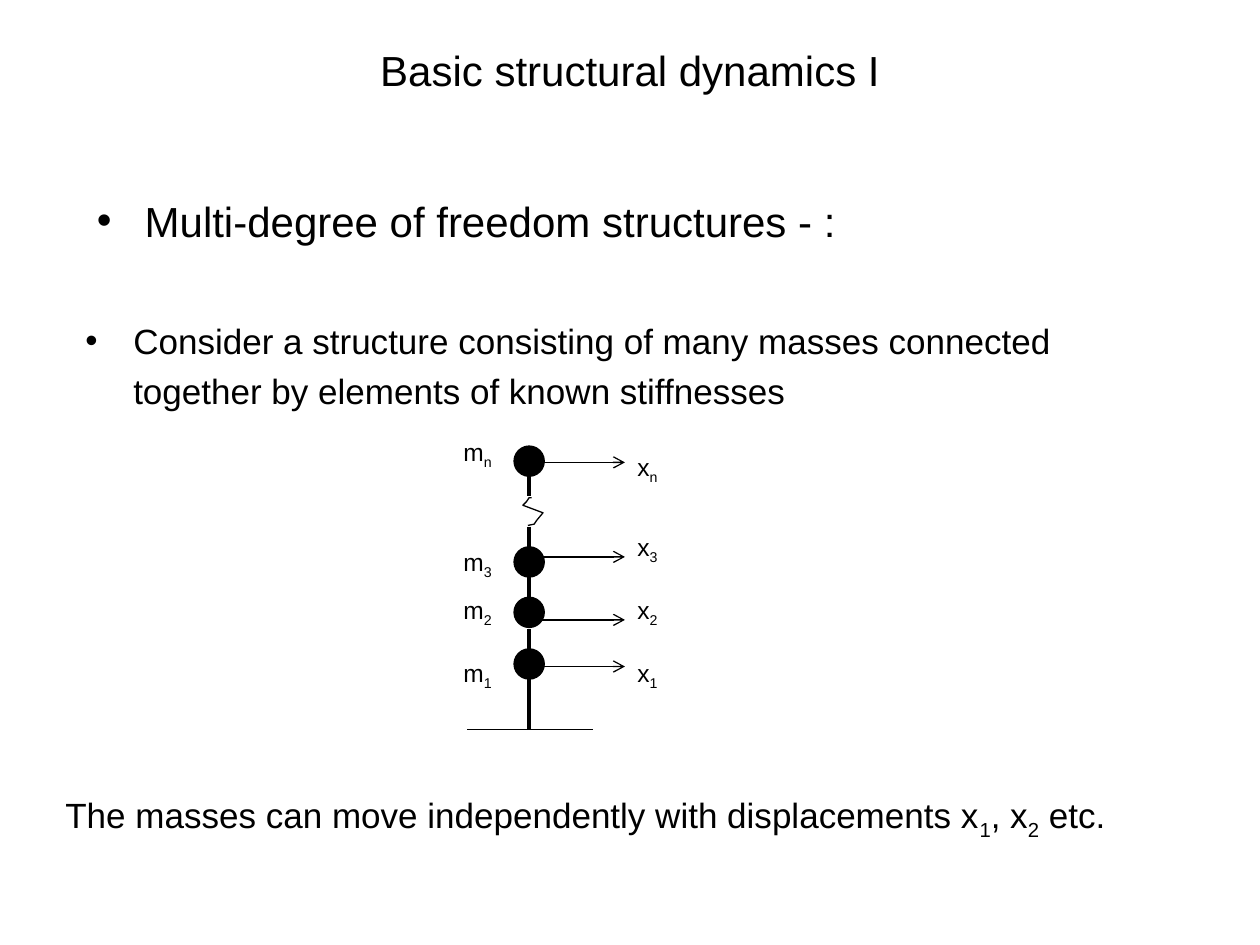
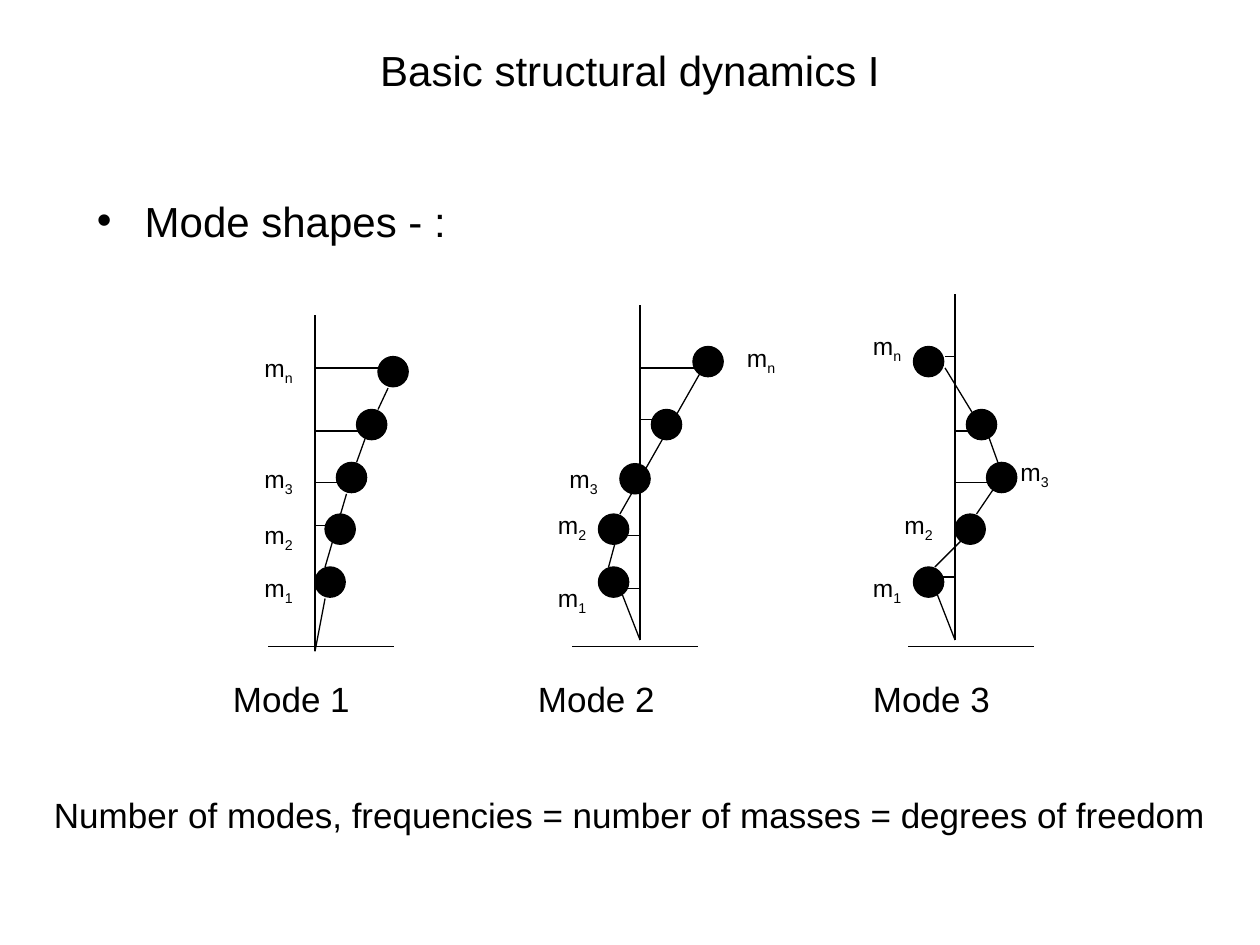
from dataclasses import dataclass
from typing import NamedTuple

from lxml.etree import SubElement
from pptx import Presentation
from pptx.dml.color import RGBColor
from pptx.enum.shapes import MSO_CONNECTOR as Connector, MSO_SHAPE as Shape
from pptx.enum.text import MSO_ANCHOR as Anchor, PP_ALIGN as Align
from pptx.oxml.ns import qn
from pptx.slide import Slide
from pptx.util import Inches, Pt


@dataclass(frozen=True)
class Theme:
    font: str = "Arial"
    ink: RGBColor = RGBColor(0, 0, 0)
    paper: RGBColor = RGBColor(255, 255, 255)
    heading: float = 24
    body: float = 20
    label: float = 14
    thin: float = 0.75
    thick: float = 2.25
    mass: float = 0.24
    indent: float = 0.38


THEME = Theme()


class Frame(NamedTuple):
    left: float
    top: float
    width: float
    height: float


class Point(NamedTuple):
    x: float
    y: float


class Span(NamedTuple):
    text: str
    lowered: bool = False


class Label(NamedTuple):
    symbol: str
    index: str
    left: float
    top: float


class Link(NamedTuple):
    start: Point
    end: Point


class Tie(NamedTuple):
    x: float
    y: float


@dataclass(frozen=True)
class Mode:
    name: str
    name_left: float
    axis: float
    axis_top: float
    axis_foot: float
    ground_left: float
    masses: list[Point]
    labels: list[Label]
    links: list[Link]
    ties: list[Tie]


MODES = [
    Mode(
        "Mode 1", 1.75, 2.5, 2.5, 5.17, 2.13,
        [Point(3, 2.83), Point(2.83, 3.25), Point(2.67, 3.67), Point(2.58, 4.08), Point(2.5, 4.5)],
        [Label("m", "n", 2, 2.75), Label("m", "3", 2, 3.63),
         Label("m", "2", 2, 4.08), Label("m", "1", 2, 4.5)],
        [Link(Point(3, 3.25), Point(3.08, 3.08)), Link(Point(2.83, 3.67), Point(2.92, 3.42)),
         Link(Point(2.58, 4.5), Point(2.75, 3.92)), Link(Point(2.5, 5.17), Point(2.58, 4.75))],
        [Tie(3.08, 2.92), Tie(2.92, 3.42), Tie(2.75, 3.83), Tie(2.67, 4.17)],
    ),
    Mode(
        "Mode 2", 4.17, 5.08, 2.42, 5.08, 4.54,
        [Point(5.5, 2.75), Point(5.17, 3.25), Point(4.92, 3.68), Point(4.75, 4.08), Point(4.75, 4.5)],
        [Label("m", "n", 5.83, 2.67), Label("m", "3", 4.42, 3.63),
         Label("m", "2", 4.33, 4), Label("m", "1", 4.33, 4.58)],
        [Link(Point(4.92, 4.08), Point(5.58, 2.92)), Link(Point(4.83, 4.5), Point(4.92, 4.17)),
         Link(Point(5.08, 5.08), Point(4.92, 4.67))],
        [Tie(5.58, 2.92), Tie(5.25, 3.33), Tie(4.83, 4.25), Tie(4.92, 4.67)],
    ),
    Mode(
        "Mode 3", 6.83, 7.58, 2.33, 5.08, 7.21,
        [Point(7.25, 2.75), Point(7.67, 3.25), Point(7.83, 3.67), Point(7.58, 4.08), Point(7.25, 4.5)],
        [Label("m", "n", 6.83, 2.58), Label("m", "3", 8, 3.58),
         Label("m", "2", 7.08, 4), Label("m", "1", 6.83, 4.5)],
        [Link(Point(7.75, 3.33), Point(7.5, 2.92)), Link(Point(7.92, 3.67), Point(7.83, 3.42)),
         Link(Point(7.75, 4.08), Point(7.92, 3.83)), Link(Point(7.42, 4.5), Point(7.67, 4.25)),
         Link(Point(7.58, 5.08), Point(7.42, 4.67))],
        [Tie(7.5, 2.83), Tie(7.83, 3.42), Tie(7.92, 3.83), Tie(7.42, 4.58)],
    ),
]


def add_text(page: Slide, frame: Frame, spans: list[Span], size: float,
             bullet: bool = False, title: bool = False, spacing: float = 1.0) -> None:
    box = page.shapes.add_textbox(*map(Inches, frame))
    box.text_frame.word_wrap = True
    para = box.text_frame.paragraphs[0]
    if title:
        box.text_frame.vertical_anchor = Anchor.MIDDLE
        para.alignment = Align.CENTER
    para.line_spacing = spacing
    if bullet:
        settings = para._p.get_or_add_pPr()
        settings.set("marL", str(Inches(THEME.indent)))
        settings.set("indent", str(-Inches(THEME.indent)))
        SubElement(settings, qn("a:buFont"), typeface=THEME.font)
        SubElement(settings, qn("a:buChar"), char="•")
    for span in spans:
        run = para.add_run()
        run.text = span.text
        run.font.name = THEME.font
        run.font.size = Pt(size)
        run.font.color.rgb = THEME.ink
        if span.lowered:
            run._r.get_or_add_rPr().set("baseline", "-25000")


def add_label(page: Slide, label: Label) -> None:
    spans = [Span(label.symbol), Span(label.index, True)]
    add_text(page, Frame(label.left, label.top, 0.62, 0.38), spans, THEME.label)


def add_line(page: Slide, start: Point, end: Point, weight: float = THEME.thin,
             arrow: bool = False) -> None:
    line = page.shapes.add_connector(Connector.STRAIGHT, *map(Inches, (*start, *end)))
    line.line.color.rgb = THEME.ink
    line.line.width = Pt(weight)
    if arrow:
        SubElement(line.line._get_or_add_ln(), qn("a:tailEnd"), type="arrow")
    SubElement(line._element.spPr, qn("a:effectLst"))


def add_mass(page: Slide, corner: Point) -> None:
    mass = page.shapes.add_shape(Shape.OVAL, *map(Inches, (*corner, THEME.mass, THEME.mass)))
    mass.shadow.inherit = False
    mass.fill.solid()
    mass.fill.fore_color.rgb = THEME.ink
    mass.line.color.rgb = THEME.ink
    mass.line.width = Pt(THEME.thin)


def add_ground(page: Slide, left: float, y: float) -> None:
    add_line(page, Point(left, y), Point(left + 1, y))


def add_break(page: Slide) -> None:
    points = [(4.19, 4.17), (4.24, 4.16), (4.26, 4.13), (4.31, 4.07),
              (4.15, 4.01), (4.18, 3.98), (4.2, 3.95), (4.22, 3.95)]
    first, *rest = [(Inches(x), Inches(y)) for x, y in points]
    builder = page.shapes.build_freeform(*first)
    builder.add_line_segments(rest, close=False)
    squiggle = builder.convert_to_shape()
    squiggle.shadow.inherit = False
    squiggle.fill.background()
    squiggle.line.color.rgb = THEME.ink
    squiggle.line.width = Pt(THEME.thin)


def add_page(deck: Presentation, topic: str) -> Slide:
    page = deck.slides.add_slide(deck.slide_layouts[6])
    page.background.fill.solid()
    page.background.fill.fore_color.rgb = THEME.paper
    add_text(page, Frame(0.5, 0.3, 9, 0.5), [Span("Basic structural dynamics I")],
             THEME.heading, title=True)
    add_text(page, Frame(0.67, 1.5, 8.5, 0.83), [Span(topic)], THEME.heading, bullet=True)
    return page


def draw_mass_column(page: Slide) -> None:
    axis, ground = 4.2, 5.79
    for top in (3.54, 4.34, 4.74, 5.15):
        add_mass(page, Point(axis - THEME.mass / 2, top))
    for top, foot in ((3.78, 3.94), (4.18, 4.34), (4.58, 4.74), (4.99, 5.15), (5.39, ground)):
        add_line(page, Point(axis, top), Point(axis, foot), THEME.thick)
    add_break(page)
    add_ground(page, 3.71, ground)
    for index, mass_top, shift_top, arrow_y in (
        ("n", 3.42, 3.54, 3.67),
        ("3", 4.29, 4.17, 4.42),
        ("2", 4.67, 4.67, 4.92),
        ("1", 5.17, 5.17, 5.29),
    ):
        add_label(page, Label("m", index, 3.58, mass_top))
        add_label(page, Label("x", index, 4.96, shift_top))
        add_line(page, Point(4.21, arrow_y), Point(4.96, arrow_y), arrow=True)


def draw_mode(page: Slide, mode: Mode) -> None:
    add_line(page, Point(mode.axis, mode.axis_foot), Point(mode.axis, mode.axis_top))
    add_ground(page, mode.ground_left, 5.13)
    for mass in mode.masses:
        add_mass(page, mass)
    for link in mode.links:
        add_line(page, link.start, link.end)
    for tie in mode.ties:
        add_line(page, Point(mode.axis, tie.y), Point(tie.x, tie.y))
    for label in mode.labels:
        add_label(page, label)
    add_text(page, Frame(mode.name_left, 5.33, 1.42, 0.58), [Span(mode.name)], THEME.body)


def main() -> None:
    deck = Presentation()
    deck.slide_width, deck.slide_height = Inches(10), Inches(7.5)

    page = add_page(deck, "Multi-degree of freedom structures - :")
    add_text(page, Frame(0.58, 2.42, 8.5, 0.92),
             [Span("Consider a structure consisting of many masses connected "
                   "together by elements of known stiffnesses")],
             THEME.body, bullet=True, spacing=1.2)
    draw_mass_column(page)
    add_text(page, Frame(0.42, 6.25, 9.17, 0.92),
             [Span("The masses can move independently with displacements x"), Span("1", True),
              Span(", x"), Span("2", True), Span(" etc.")], THEME.body)

    page = add_page(deck, "Mode shapes - :")
    for mode in MODES:
        draw_mode(page, mode)
    add_text(page, Frame(0.33, 6.25, 9.5, 0.92),
             [Span("Number of modes, frequencies = number of masses = degrees of freedom")],
             THEME.body)

    deck.save("out.pptx")


if __name__ == "__main__":
    main()
